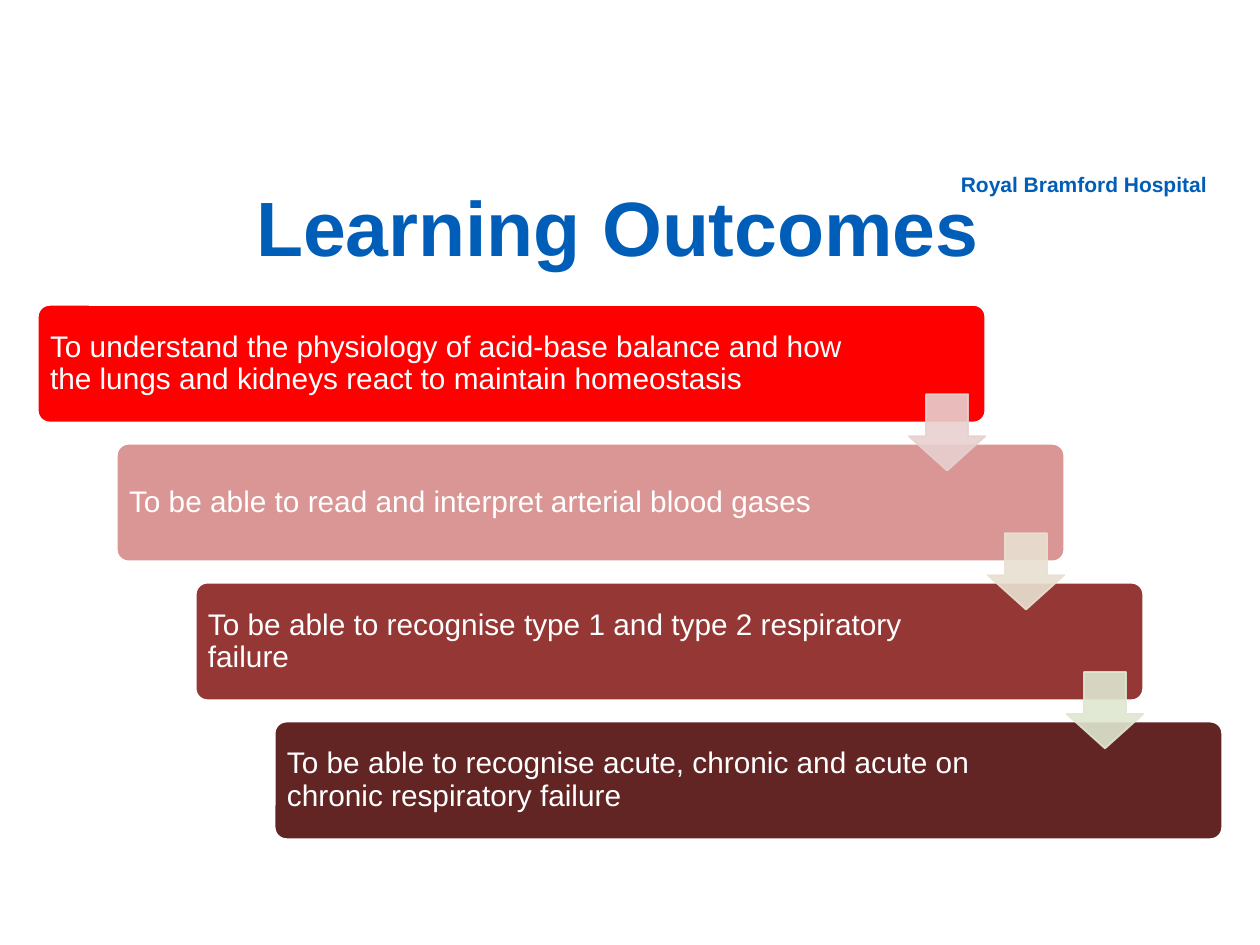
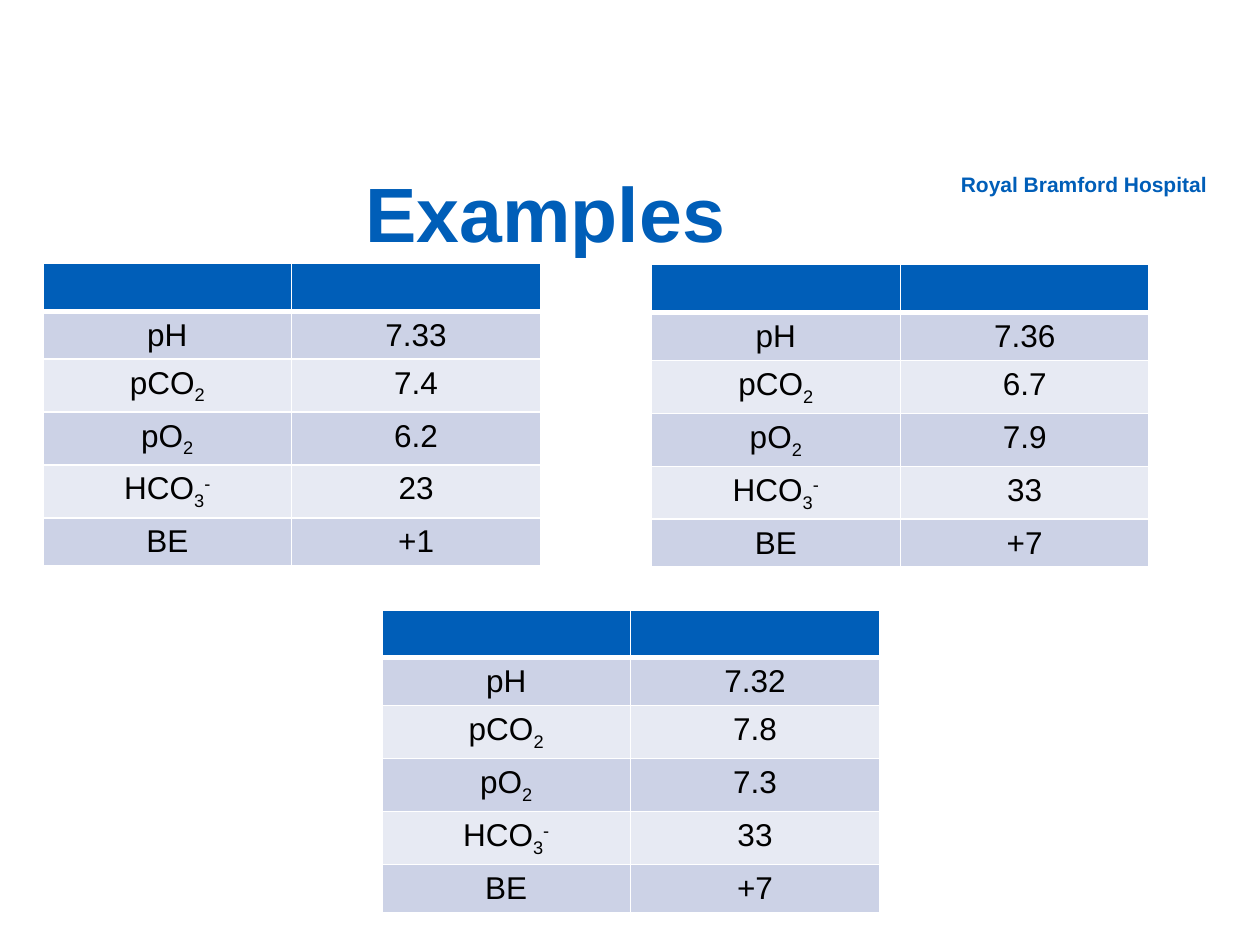
from dataclasses import dataclass

import lxml.etree
import pptx
import pptx.dml.color
import pptx.enum.shapes
import pptx.enum.text
import pptx.oxml.ns
import pptx.util

W, H = 10, 7.5
Inches, Pt = pptx.util.Inches, pptx.util.Pt
SHAPE = pptx.enum.shapes.MSO_SHAPE
ALIGN = pptx.enum.text.PP_ALIGN
ANCHOR = pptx.enum.text.MSO_ANCHOR
qn = pptx.oxml.ns.qn


@dataclass(frozen=True)
class Theme:
    font: str = "Arial"
    blue: str = "005EB8"
    white: str = "FFFFFF"
    black: str = "000000"
    bands: tuple = ("CCD2E6", "E7EAF3")
    steps: tuple = ("FF0000", "D99694", "953735", "632523")
    arrows: tuple = ("E8D0D0", "E8E1D1", "DEE7D1")
    title: int = 44
    cell: int = 18
    step: int = 17
    label: int = 12


T = Theme()

OUTCOMES = (
    "To understand the physiology of acid-base balance and how the lungs and kidneys react to maintain homeostasis",
    "To be able to read and interpret arterial blood gases",
    "To be able to recognise type 1 and type 2 respiratory failure",
    "To be able to recognise acute, chronic and acute on chronic respiratory failure",
)
# Each measure is a list of (text, baseline shift in thousandths of a percent)
MEASURES = (
    [("pH", 0)],
    [("pCO", 0), ("2", -25000)],
    [("pO", 0), ("2", -25000)],
    [("HCO", 0), ("3", -25000), ("-", 30000)],
    [("BE", 0)],
)
GASES = (
    (0.34, 2.09, ("7.33", "7.4", "6.2", "23", "+1")),
    (5.17, 2.1, ("7.36", "6.7", "7.9", "33", "+7")),
    (3.03, 4.84, ("7.32", "7.8", "7.3", "33", "+7")),
)
ROW_HEIGHTS = (0.3, 0.35, 0.39, 0.35, 0.35, 0.35)


def rgb(color):
    return pptx.dml.color.RGBColor.from_string(color)


def box(*lengths):
    return [Inches(length) for length in lengths]


def set_font(p, size, color, bold=False):
    p.font.name, p.font.size, p.font.bold = T.font, Pt(size), bold
    p.font.color.rgb = rgb(color)


def set_frame(tf, left=0, top=0, right=0, bottom=0, anchor=ANCHOR.TOP):
    tf.word_wrap = True
    tf.auto_size = pptx.enum.text.MSO_AUTO_SIZE.NONE
    tf.vertical_anchor = anchor
    tf.margin_left, tf.margin_top, tf.margin_right, tf.margin_bottom = box(left, top, right, bottom)


def titled_slide(prs, title, left, top, indent_left=0, indent_right=0):
    """Add a slide with its title and the hospital label; indents shift the centred title."""
    s = prs.slides.add_slide(prs.slide_layouts[5])
    label = s.shapes.add_textbox(*box(7.33, 1.34, 2.25, 0.21))
    set_frame(label.text_frame)
    p = label.text_frame.paragraphs[0]
    p.text, p.alignment, p.line_spacing = "Royal Bramford Hospital", ALIGN.RIGHT, Pt(16)
    set_font(p, T.label, T.blue, True)

    sp = s.shapes.title
    sp.left, sp.top, sp.width, sp.height = box(left, top, 0.94 * W, 1.44)
    set_frame(sp.text_frame, anchor=ANCHOR.BOTTOM)
    p = sp.text_frame.paragraphs[0]
    p.text, p.alignment, p.line_spacing = title, ALIGN.CENTER, Pt(48)
    pPr = p._p.get_or_add_pPr()
    pPr.set("marL", str(Inches(indent_left)))
    pPr.set("marR", str(Inches(indent_right)))
    set_font(p, T.title, T.blue, True)
    return s


def add_solid(s, kind, bounds, adjustments, fill, line):
    sp = s.shapes.add_shape(kind, *box(*bounds))
    sp.shadow.inherit = False
    for i, value in enumerate(adjustments):
        sp.adjustments[i] = value
    sp.fill.solid()
    sp.fill.fore_color.rgb = rgb(fill)
    sp.line.color.rgb = rgb(line)
    sp.line.width = Pt(1)
    return sp


def add_staircase(s, left, top, width, height):
    """Four overlapping steps down the box, joined by translucent arrows."""
    step_w, step_h = 0.8 * width, 0.22 * height
    dx = (width - step_w) / (len(OUTCOMES) - 1)
    dy = (height - step_h) / (len(OUTCOMES) - 1)
    for i, (text, color) in enumerate(zip(OUTCOMES, T.steps)):
        bounds = (left + i * dx, top + i * dy, step_w, step_h)
        sp = add_solid(s, SHAPE.ROUNDED_RECTANGLE, bounds, [0.1], color, T.white)
        set_frame(sp.text_frame, 0.07, 0.07, 1.3 if i else 1.1, 0.07, ANCHOR.MIDDLE)
        p = sp.text_frame.paragraphs[0]
        p.text, p.alignment, p.line_spacing = text, ALIGN.LEFT, 0.9
        set_font(p, T.step, T.white)

    side = 0.65 * step_h
    for i, color in enumerate(T.arrows):
        bounds = (left + i * dx + step_w - side, top + i * dy + 0.76 * step_h, side, side)
        sp = add_solid(s, SHAPE.DOWN_ARROW, bounds, [0.55, 0.45], color, color)
        for clr in sp._element.spPr.iter(qn("a:srgbClr")):
            lxml.etree.SubElement(clr, qn("a:alpha"), val="90000")


def set_borders(cell, top, bottom):
    tcPr = cell._tc.get_or_add_tcPr()
    for side, width in (("L", 1), ("R", 1), ("T", top), ("B", bottom)):
        ln = lxml.etree.SubElement(tcPr, qn("a:ln" + side), w=str(Pt(width)))
        fill = lxml.etree.SubElement(ln, qn("a:solidFill"))
        lxml.etree.SubElement(fill, qn("a:srgbClr"), val=T.white)


def add_gas_table(s, left, top, values):
    shape = s.shapes.add_table(len(ROW_HEIGHTS), 2, *box(left, top, 3.95, sum(ROW_HEIGHTS)))
    table = shape.table
    rows = [([], [])] + [(m, [(v, 0)]) for m, v in zip(MEASURES, values)]
    for i, (height, row) in enumerate(zip(ROW_HEIGHTS, rows)):
        table.rows[i].height = Inches(height)
        for j, runs in enumerate(row):
            cell = table.cell(i, j)
            set_borders(cell, 3 if i == 1 else 1, 3 if i == 0 else 1)
            cell.fill.solid()
            cell.fill.fore_color.rgb = rgb(T.bands[(i - 1) % 2] if i else T.blue)
            p = cell.text_frame.paragraphs[0]
            p.alignment = ALIGN.CENTER
            set_font(p, T.cell, T.black)
            for text, baseline in runs:
                r = p.add_run()
                r.text = text
                if baseline:
                    r.font._element.set("baseline", str(baseline))


def main():
    prs = pptx.Presentation()
    prs.slide_width, prs.slide_height = box(W, H)

    s = titled_slide(prs, "Learning Outcomes", 0.3, 0.72, indent_right=0.19)
    add_staircase(s, 0.3, 2.42, 0.94 * W, 4.24)

    s = titled_slide(prs, "Examples", -0.78, 0.61, indent_left=0.82)
    for left, top, values in GASES:
        add_gas_table(s, left, top, values)

    prs.save("out.pptx")


if __name__ == "__main__":
    main()
